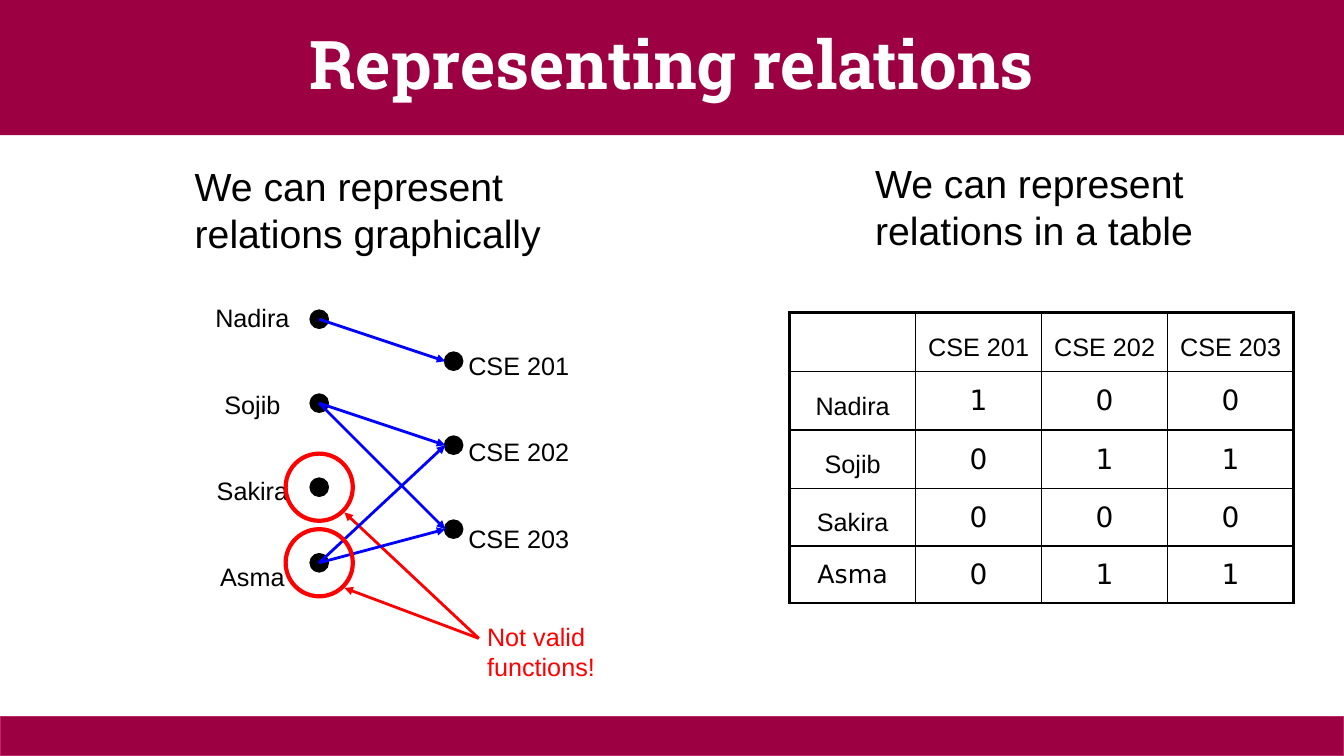
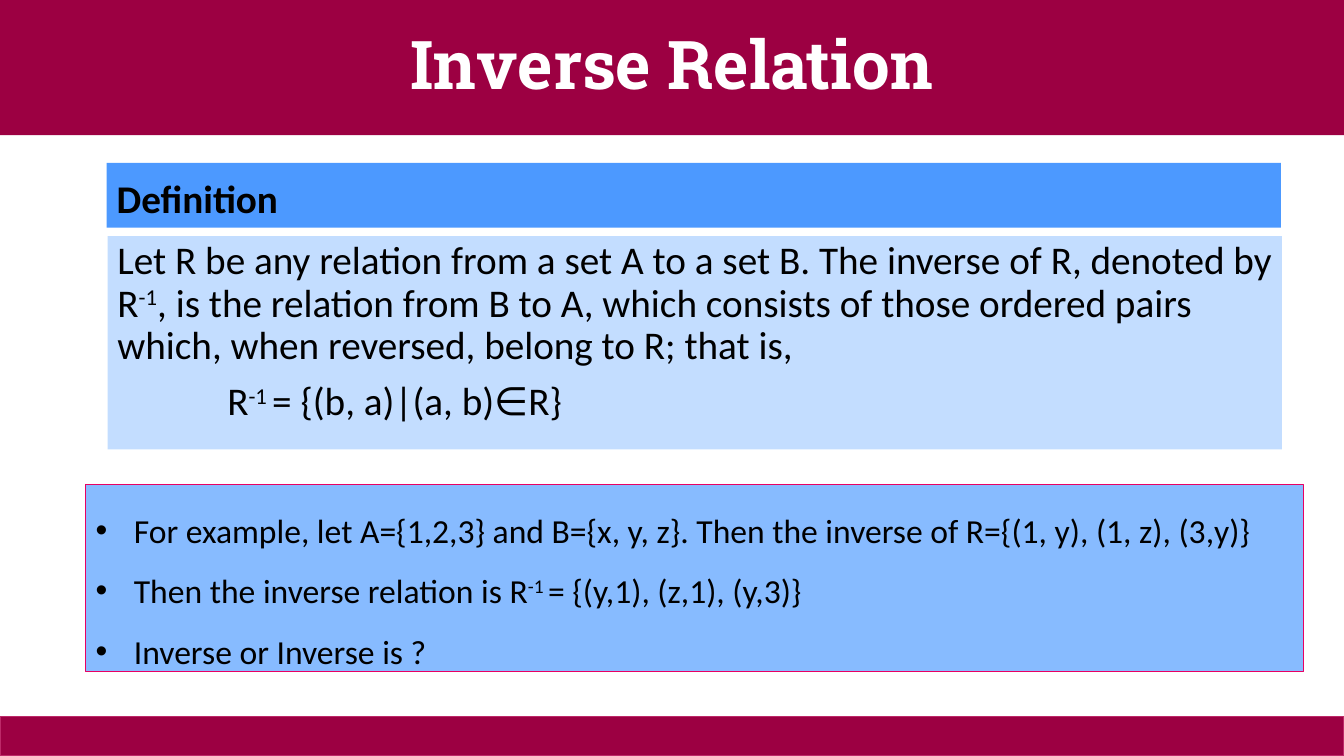
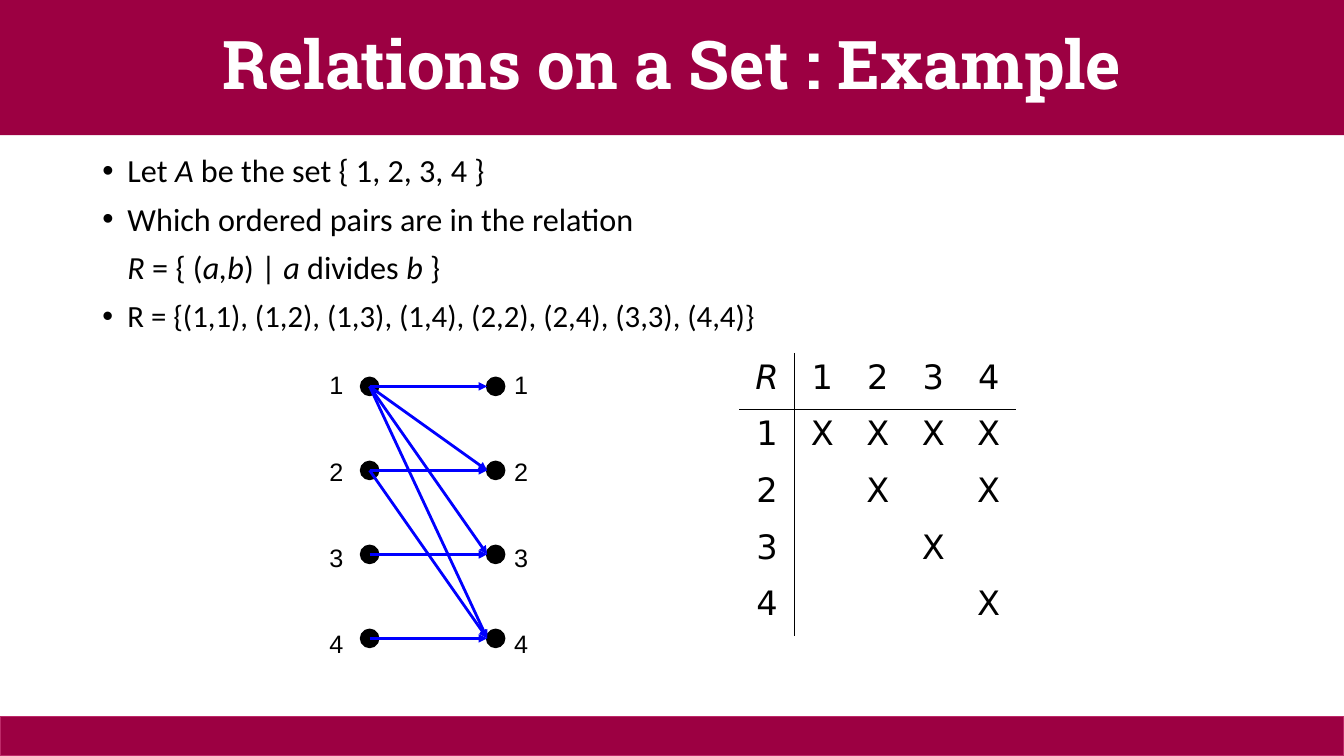
"""Build three slides on relations: representations, inverses and an example."""
from lxml.etree import SubElement
from pptx import Presentation
from pptx.dml.color import RGBColor
from pptx.enum.shapes import MSO_CONNECTOR, MSO_SHAPE
from pptx.enum.text import MSO_ANCHOR, PP_ALIGN
from pptx.oxml.ns import qn
from pptx.util import Inches, Pt

COLORS = {
    "band": "9C0042", "band_edge": "BD2968", "white": "FFFFFF", "black": "000000",
    "arrow": "0000FF", "warning": "FF0000", "heading": "4C99FF",
    "definition": "C3DDFF", "example": "87BBFF", "example_edge": "E90062",
}
RGB = {name: RGBColor.from_string(value) for name, value in COLORS.items()}
NO_GRID_STYLE = "{2D5ABB26-0587-4C30-8999-92F81FD0307C}"
LABEL = {"align": PP_ALIGN.CENTER, "spacing": 1.4}
MARK = {"align": PP_ALIGN.CENTER, "font": "DejaVu Sans"}

presentation = Presentation()
presentation.slide_width, presentation.slide_height = Inches(13.333), Inches(7.5)
COLUMNS, ROWS = 160, 90
CELL = presentation.slide_height / ROWS


def add_box(slide, area, kind=None, fill=None, line=None, width=1, wrap=True,
            anchor=MSO_ANCHOR.TOP):
    """Add a text box, or a preset shape when a kind is given."""
    place = [round(length * CELL) for length in area]
    if kind is None:
        shape = slide.shapes.add_textbox(*place)
    else:
        shape = slide.shapes.add_shape(kind, *place)
        shape.shadow.inherit = False
        if fill:
            shape.fill.solid()
            shape.fill.fore_color.rgb = RGB[fill]
        else:
            shape.fill.background()
        if line:
            shape.line.color.rgb = RGB[line]
            shape.line.width = Pt(width)
        else:
            shape.line.fill.background()
    shape.text_frame.word_wrap = wrap
    shape.text_frame.vertical_anchor = anchor
    return shape


def write(frame, text, size=18, font="Arial", color="black", bold=False, align=PP_ALIGN.LEFT,
          spacing=1.0, before=0, after=0, margin=0, bullet=False, accent="italic"):
    """Append a paragraph; text between tildes takes the accent."""
    paragraph = frame.paragraphs[-1]
    if paragraph.runs:
        paragraph = frame.add_paragraph()
    paragraph.alignment = align
    paragraph.line_spacing = spacing
    paragraph.space_before, paragraph.space_after = Pt(before), Pt(after)
    properties = paragraph._p.get_or_add_pPr()
    properties.set("marL", str(Inches(margin)))
    if bullet:
        properties.set("indent", str(-Inches(margin)))
        SubElement(properties, qn("a:buFont"), typeface="Arial")
        SubElement(properties, qn("a:buChar"), char="•")
    for index, piece in enumerate(text.split("~")):
        if not piece:
            continue
        run = paragraph.add_run()
        run.text = piece
        run.font.size, run.font.name, run.font.bold = Pt(size), font, bold
        run.font.color.rgb = RGB[color]
        if index % 2 and accent == "italic":
            run.font.italic = True
        elif index % 2:
            run.font._element.set("baseline", "30000")


slides = []
for title in ["Representing relations", "Inverse Relation", "Relations on a Set : Example"]:
    slide = presentation.slides.add_slide(presentation.slide_layouts[6])
    band = add_box(slide, (0, 0, COLUMNS, 16.1), MSO_SHAPE.RECTANGLE, "band",
                   anchor=MSO_ANCHOR.MIDDLE)
    write(band.text_frame, title, size=48, font="Roboto Slab", color="white", bold=True,
          align=PP_ALIGN.CENTER, spacing=0.9)
    add_box(slide, (0, 85.3, COLUMNS, 4.7), MSO_SHAPE.RECTANGLE, "band", "band_edge")
    slides.append(slide)
representing, inverse, example = slides

for left, top, heading in [(22, 18.7, "We can represent relations graphically"),
                           (103, 18.4, "We can represent relations in a table")]:
    write(add_box(representing, (left, top, 47, 12.4)).text_frame, heading, size=28)

definition_heading = add_box(inverse, (12.7, 19.4, 139.8, 7.7), MSO_SHAPE.RECTANGLE, "heading")
write(definition_heading.text_frame, "Definition", size=28, font="Calibri", bold=True,
      spacing=1.14, before=10)
definition = add_box(inverse, (12.8, 28.1, 139.8, 25.4), MSO_SHAPE.RECTANGLE, "definition")
for text, margin in [
    ("Let R be any relation from a set A to a set B. The inverse of R, denoted by R~-1~, is the "
     "relation from B to A, which consists of those ordered pairs which, when reversed, "
     "belong to R; that is,", 0),
    ("R~-1 ~= {(b, a)|(a, b)∈R}", 1.09),
]:
    write(definition.text_frame, text, size=28, font="Calibri", spacing=0.9, before=10,
          margin=margin, accent="superscript")
inverse_example = add_box(inverse, (10.2, 57.7, 145, 22.3), MSO_SHAPE.RECTANGLE, "example",
                          "example_edge", 0.75)
for text in ["For example, let A={1,2,3} and B={x, y, z}. "
             "Then the inverse of R={(1, y), (1, z), (3,y)}",
             "Then the inverse relation is R~-1 ~= {(y,1), (z,1), (y,3)}",
             "Inverse or Inverse is ?"]:
    write(inverse_example.text_frame, text, size=24, font="Calibri", spacing=1.5,
          margin=0.38, bullet=True, accent="superscript")

body = add_box(example, (11, 17.8, 138, 63))
for text, size, bullet in [
    ("Let ~A~ be the set { 1, 2, 3, 4 }", 23, True),
    ("Which ordered pairs are in the relation", 23, True),
    ("~R~ = { (~a,b~) | ~a~ divides ~b~ }", 23, False),
    ("R = {(1,1), (1,2), (1,3), (1,4), (2,2), (2,4), (3,3), (4,4)}", 22, True),
]:
    write(body.text_frame, text, size=size, font="Calibri", spacing=0.9, before=10,
          margin=0.25, bullet=bullet)

numbers = ["1", "2", "3", "4"]
courses = ["CSE 201", "CSE 202", "CSE 203"]
students = ["Nadira", "Sojib", "Sakira", "Asma"]
label_columns = [
    (representing, (24.1, 34, 11.9, 36.8), students),
    (representing, (54.5, 39.7, 14.5, 26.6), courses),
    (example, (38, 42, 4.1, 36.5), numbers),
    (example, (60, 42, 4.1, 36.5), numbers),
]
for slide, area, labels in label_columns:
    frame = add_box(slide, area, wrap=False).text_frame
    for label in labels:
        write(frame, label, after=31.4, **LABEL)

number_rows = [46, 56, 66, 76]
diagrams = [
    (representing, 38, [38, 48, 58, 67], 54, [43, 53, 63],
     [(0, 0), (1, 1), (1, 2), (3, 1), (3, 2)]),
    (example, 44, number_rows, 59, number_rows,
     [(0, 0), (1, 1), (2, 2), (3, 3), (0, 1), (0, 2), (0, 3), (1, 3)]),
]
arrows = [(representing, 57, 76, 41, 70, "warning"), (representing, 57, 76, 41, 61, "warning")]
for slide, left, left_rows, right, right_rows, pairs in diagrams:
    for column, rows in [(left, left_rows), (right, right_rows)]:
        for row in rows:
            add_box(slide, (column - 1, row - 1, 2, 2), MSO_SHAPE.OVAL, "black", "black", 2)
    arrows += [(slide, left, left_rows[start], right - 1, right_rows[end], "arrow")
               for start, end in pairs]
for slide, *ends, color in arrows:
    arrow = slide.shapes.add_connector(MSO_CONNECTOR.STRAIGHT,
                                       *[round(length * CELL) for length in ends])
    arrow.line.color.rgb = RGB[color]
    arrow.line.width = Pt(2)
    SubElement(arrow.line._get_or_add_ln(), qn("a:tailEnd"), type="triangle")
    SubElement(arrow._element.spPr, qn("a:effectLst"))

for row in [58, 67]:
    add_box(representing, (34, row - 4, 8, 8), MSO_SHAPE.OVAL, line="warning", width=3)
note = add_box(representing, (56.8, 73.4, 27.7, 4.8), wrap=False)
write(note.text_frame, "Not valid functions!", color="warning")

tables = [
    (representing, 94, 37.2, 15, [7, 7, 7, 6.8, 6.8], 20, MSO_ANCHOR.MIDDLE,
     [2.25, 1, 1, 1, 2.25], [2.25, 1, 1, 1, 1, 2.25],
     [[""] + courses, ["Nadira", "1", "0", "0"], ["Sojib", "0", "1", "1"],
      ["Sakira", "0", "0", "0"], ["Asma", "0", "1", "1"]]),
    (example, 88, 42, 6.6, [6.75] * 5, 24, MSO_ANCHOR.TOP,
     [0, 1, 0, 0, 0, 0], [0, 1, 0, 0, 0, 0],
     [["~R~"] + numbers, ["1", "X", "X", "X", "X"], ["2", "", "X", "", "X"],
      ["3", "", "", "X", ""], ["4", "", "", "", "X"]]),
]
for (slide, left, top, column_width, heights, mark_size, anchor,
     column_rules, row_rules, entries) in tables:
    count = len(entries[0])
    area = (left, top, count * column_width, sum(heights))
    table = slide.shapes.add_table(len(entries), count,
                                   *[round(length * CELL) for length in area]).table
    table.first_row = table.horz_banding = False
    table._tbl.tblPr[0].text = NO_GRID_STYLE
    for column in table.columns:
        column.width = round(column_width * CELL)
    for row_index, values in enumerate(entries):
        table.rows[row_index].height = round(heights[row_index] * CELL)
        for column_index, value in enumerate(values):
            cell = table.cell(row_index, column_index)
            cell.vertical_anchor = anchor
            properties = cell._tc.get_or_add_tcPr()
            for side, width in [("L", column_rules[column_index]),
                                ("R", column_rules[column_index + 1]),
                                ("T", row_rules[row_index]),
                                ("B", row_rules[row_index + 1])]:
                border = SubElement(properties, qn("a:ln" + side), w=str(Pt(width)))
                if width:
                    fill = SubElement(border, qn("a:solidFill"))
                    SubElement(fill, qn("a:srgbClr"), val=COLORS["black"])
                else:
                    SubElement(border, qn("a:noFill"))
            cell.fill.background()
            if value in courses + students[:3]:
                write(cell.text_frame, value, **LABEL)
            elif value:
                write(cell.text_frame, value, size=18 if value in students else mark_size, **MARK)

presentation.save("out.pptx")
